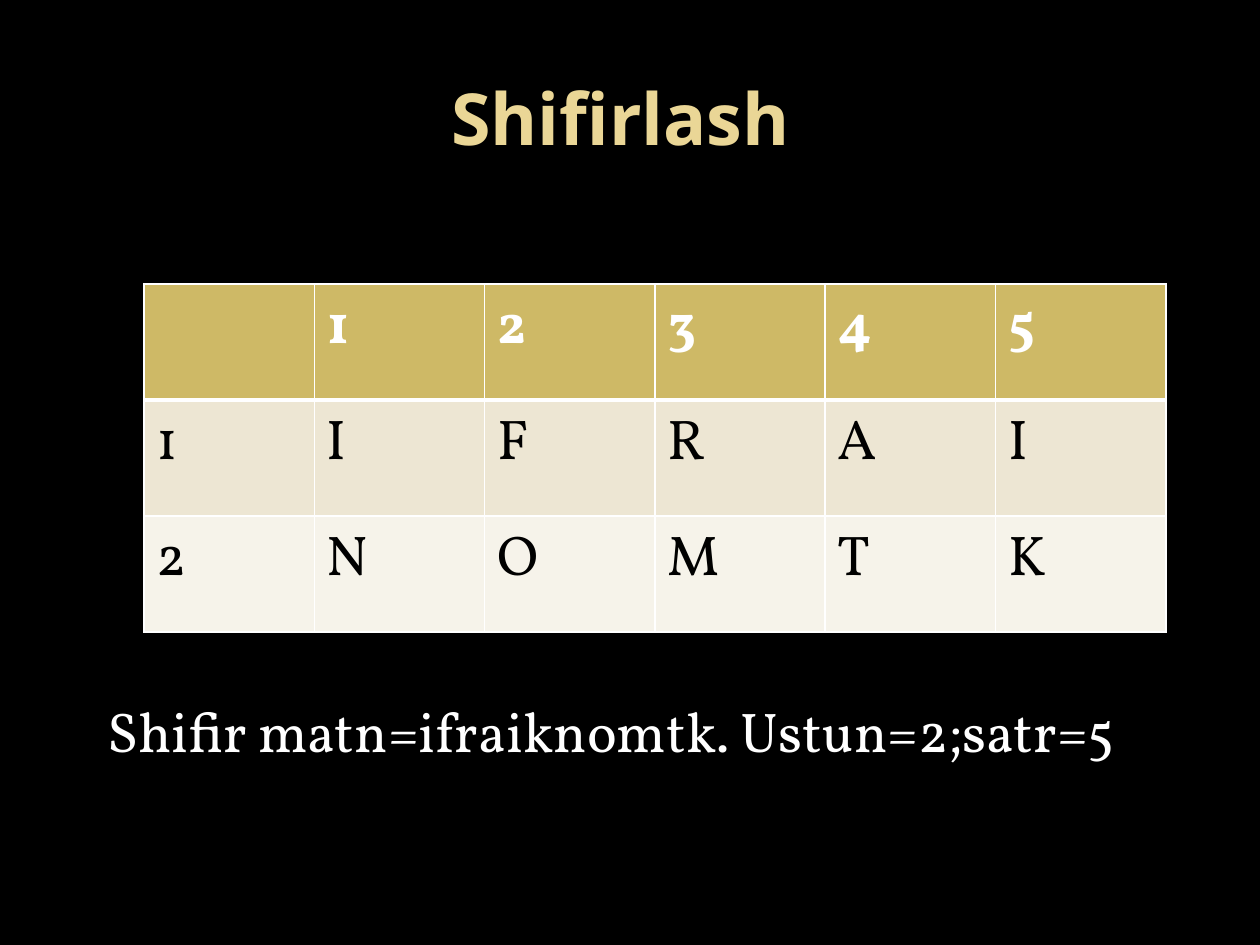
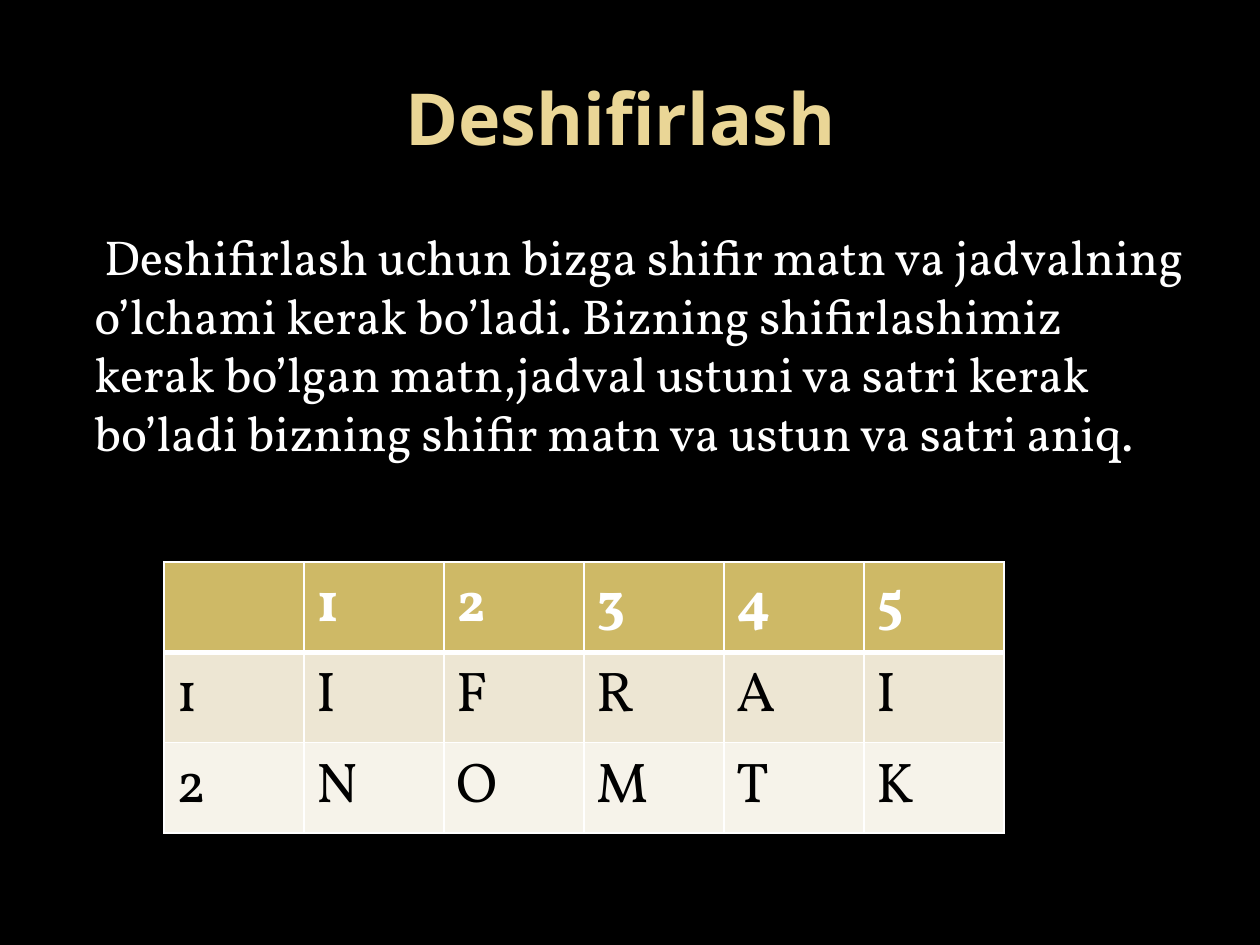
from dataclasses import dataclass

from lxml import etree
from pptx import Presentation
from pptx.dml.color import RGBColor
from pptx.enum.text import MSO_ANCHOR, PP_ALIGN
from pptx.oxml.ns import qn
from pptx.util import Emu, Pt

CENTER = PP_ALIGN.CENTER
MIDDLE = MSO_ANCHOR.MIDDLE
EMU_PER_PX = 914400 / 126
EMU_PER_PT = 12700


@dataclass(frozen=True)
class Theme:
    background: str = "000000"
    title: str = "EAD696"
    title_end: str = "E7D081"
    light: str = "FFFFFF"
    dark: str = "000000"
    row_fills: tuple[str, ...] = ("CEB966", "EDE6D3", "F6F3EA")
    title_font: str = "Noto Sans"
    body_font: str = "Vollkorn"
    title_size: int = 41
    large_size: int = 32
    body_size: int = 28
    thin_line: int = 1
    header_line: int = 3


@dataclass(frozen=True)
class Box:
    left: int
    top: int
    width: int
    height: int

    def emu(self) -> tuple[Emu, ...]:
        return tuple(px(v) for v in (self.left, self.top, self.width, self.height))


@dataclass(frozen=True)
class CipherSlide:
    title: str
    text: str
    text_box: Box
    text_size: int
    text_indent: int
    table_box: Box


THEME = Theme()
TITLE_BOX = Box(63, 38, 1134, 157)
CIPHER_GRID = (
    ("", "1", "2", "3", "4", "5"),
    ("1", "I", "F", "R", "A", "I"),
    ("2", "N", "O", "M", "T", "K"),
)
SLIDES = (
    CipherSlide(
        "Shifirlash ",
        "Shifir matn=ifraiknomtk. Ustun=2;satr=5",
        Box(95, 690, 1042, 81), THEME.large_size, 0,
        Box(144, 284, 1022, 348),
    ),
    CipherSlide(
        "Deshifirlash ",
        " Deshifirlash uchun bizga shifir matn va jadvalning o’lchami kerak "
        "bo’ladi. Bizning shifirlashimiz kerak bo’lgan matn,jadval ustuni va "
        "satri kerak bo’ladi bizning shifir matn va ustun va satri aniq.",
        Box(63, 220, 1134, 649), THEME.body_size, 19,
        Box(164, 562, 840, 271),
    ),
)


def px(value: float) -> Emu:
    return Emu(round(value * EMU_PER_PX))


def rgb(color: str) -> RGBColor:
    return RGBColor.from_string(color)


def style_font(font, name: str, size: int, color: str, bold: bool = False) -> None:
    font.name, font.size, font.bold = name, Pt(size), bold
    font.color.rgb = rgb(color)


def add_text(s, box: Box, text: str):
    """Add a wrapping text box and return its text frame."""
    tf = s.shapes.add_textbox(*box.emu()).text_frame
    tf.word_wrap = True
    tf.text = text
    return tf


def add_title(s, text: str) -> None:
    tf = add_text(s, TITLE_BOX, text)
    tf.vertical_anchor = MIDDLE
    p = tf.paragraphs[0]
    p.alignment = CENTER
    font = p.runs[0].font
    style_font(font, THEME.title_font, THEME.title_size, THEME.title, bold=True)
    font.fill.gradient()
    font.fill.gradient_angle = 280
    stops = ((0.73, THEME.title), (1.0, THEME.title_end))
    for stop, (position, color) in zip(font.fill.gradient_stops, stops):
        stop.position = position
        stop.color.rgb = rgb(color)


def add_body(s, content: CipherSlide) -> None:
    p = add_text(s, content.text_box, content.text).paragraphs[0]
    if content.text_indent:
        pPr = p._p.get_or_add_pPr()
        pPr.set("marL", str(px(content.text_indent)))
        pPr.set("indent", "0")
    style_font(p.runs[0].font, THEME.body_font, content.text_size, THEME.light)


def set_borders(cell, top: int, bottom: int) -> None:
    tcPr = cell._tc.get_or_add_tcPr()
    widths = {"lnL": THEME.thin_line, "lnR": THEME.thin_line, "lnT": top, "lnB": bottom}
    for tag, width in widths.items():
        ln = etree.SubElement(tcPr, qn(f"a:{tag}"), w=str(width * EMU_PER_PT))
        fill = etree.SubElement(ln, qn("a:solidFill"))
        etree.SubElement(fill, qn("a:srgbClr"), val=THEME.light)


def add_cipher_table(s, box: Box) -> None:
    n_rows, n_cols = len(CIPHER_GRID), len(CIPHER_GRID[0])
    table = s.shapes.add_table(n_rows, n_cols, *box.emu()).table
    table.first_row = table.horz_banding = False
    for column in table.columns:
        column.width = px(box.width / n_cols)
    for i, letters in enumerate(CIPHER_GRID):
        table.rows[i].height = px(box.height / n_rows)
        is_header = i == 0
        top = THEME.header_line if i == 1 else THEME.thin_line
        bottom = THEME.header_line if is_header else THEME.thin_line
        color = THEME.light if is_header else THEME.dark
        for j, letter in enumerate(letters):
            cell = table.cell(i, j)
            set_borders(cell, top, bottom)
            cell.fill.solid()
            cell.fill.fore_color.rgb = rgb(THEME.row_fills[i])
            cell.text_frame.text = letter
            for r in cell.text_frame.paragraphs[0].runs:
                style_font(r.font, THEME.body_font, THEME.large_size, color, is_header)


def add_cipher_slide(prs, content: CipherSlide) -> None:
    s = prs.slides.add_slide(prs.slide_layouts[6])
    s.background.fill.solid()
    s.background.fill.fore_color.rgb = rgb(THEME.background)
    add_title(s, content.title)
    add_body(s, content)
    add_cipher_table(s, content.table_box)


def main() -> None:
    prs = Presentation()
    prs.slide_width, prs.slide_height = px(1260), px(945)
    for content in SLIDES:
        add_cipher_slide(prs, content)
    prs.save("out.pptx")


if __name__ == "__main__":
    main()
